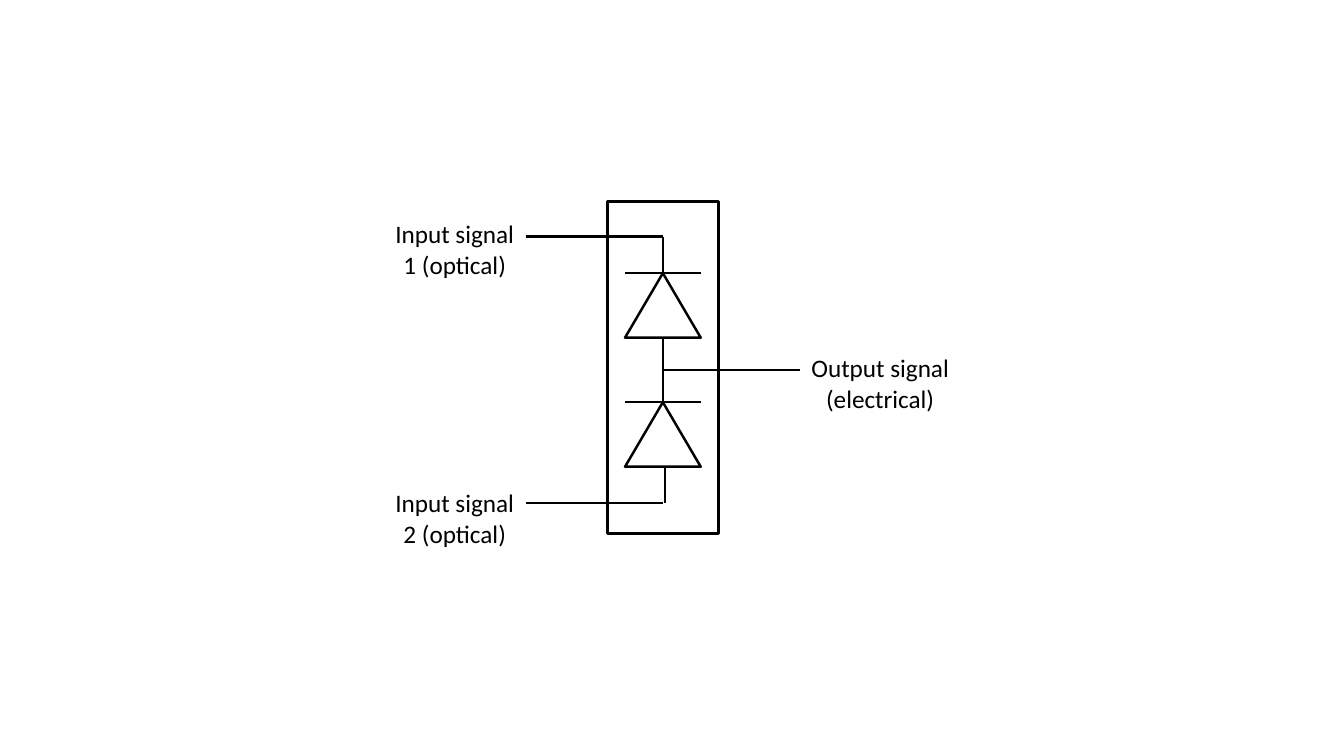
from pptx import Presentation, util as u
from pptx.dml.color import RGBColor
from pptx.enum import shapes, text
from pptx.oxml.ns import qn
from lxml import etree

COLORS = {"ink": "000000"}
INK = RGBColor.from_string(COLORS["ink"])

presentation = Presentation()
presentation.slide_width = u.Inches(13.33)
presentation.slide_height = u.Inches(7.5)
COLUMN = presentation.slide_width / 100
ROW = presentation.slide_height / 100
slide = presentation.slides.add_slide(presentation.slide_layouts[6])


def place(*shares):
    return [round(share * unit) for share, unit in zip(shares, (COLUMN, ROW) * 2)]


def add_label(words, left, top, width, height=9.47, size=18, font="Calibri"):
    box = slide.shapes.add_textbox(*place(left, top, width, height))
    frame = box.text_frame
    frame.word_wrap = True
    frame.auto_size = text.MSO_AUTO_SIZE.SHAPE_TO_FIT_TEXT
    paragraph = frame.paragraphs[0]
    paragraph.alignment = text.PP_ALIGN.CENTER
    run = paragraph.add_run()
    run.text = words
    run.font.name = font
    run.font.size = u.Pt(size)
    run.font.color.rgb = INK


diode_left, diode_width, diode_height = 46.51, 5.63, 8.53
diode_right = diode_left + diode_width
axis = diode_left + diode_width / 2
diode_tops = [36.13, 53.2]
diode_bottoms = [top + diode_height for top in diode_tops]
output_row = (diode_bottoms[0] + diode_tops[1]) / 2
input_left, input_rows = 39.16, [31.3, 66.53]
lower_lead = 49.5
output_right = 59.49

outlines = [
    (shapes.MSO_SHAPE.ISOSCELES_TRIANGLE, (diode_left, top, diode_width, diode_height), 1.75)
    for top in diode_tops
]
outlines.append((shapes.MSO_SHAPE.RECTANGLE, (45.23, 26.67, 8.25, 43.87), 2))
for kind, shares, weight in outlines:
    shape = slide.shapes.add_shape(kind, *place(*shares))
    shape.shadow.inherit = False
    shape.fill.background()
    shape.line.color.rgb = INK
    shape.line.width = u.Pt(weight)

wires = [(diode_left, top, diode_right, top) for top in diode_tops]
wires += [(input_left, row, axis, row) for row in input_rows]
wires += [
    (axis, input_rows[0], axis, diode_tops[0]),
    (axis, diode_bottoms[0], axis, diode_tops[1]),
    (lower_lead, diode_bottoms[1], lower_lead, input_rows[1]),
    (axis, output_row, output_right, output_row),
]
for wire in wires:
    connector = slide.shapes.add_connector(shapes.MSO_CONNECTOR.STRAIGHT, *place(*wire))
    connector.line.color.rgb = INK
    connector.line.width = u.Pt(1.75)
    etree.SubElement(connector._element.spPr, qn("a:effectLst"))

add_label("Input signal 1 (optical)", left=28.51, top=28.27, width=10.65)
add_label("Input signal 2 (optical)", left=28.51, top=63.87, width=10.65)
add_label("Output signal (electrical)", left=output_right, top=46, width=12)

presentation.save("out.pptx")
